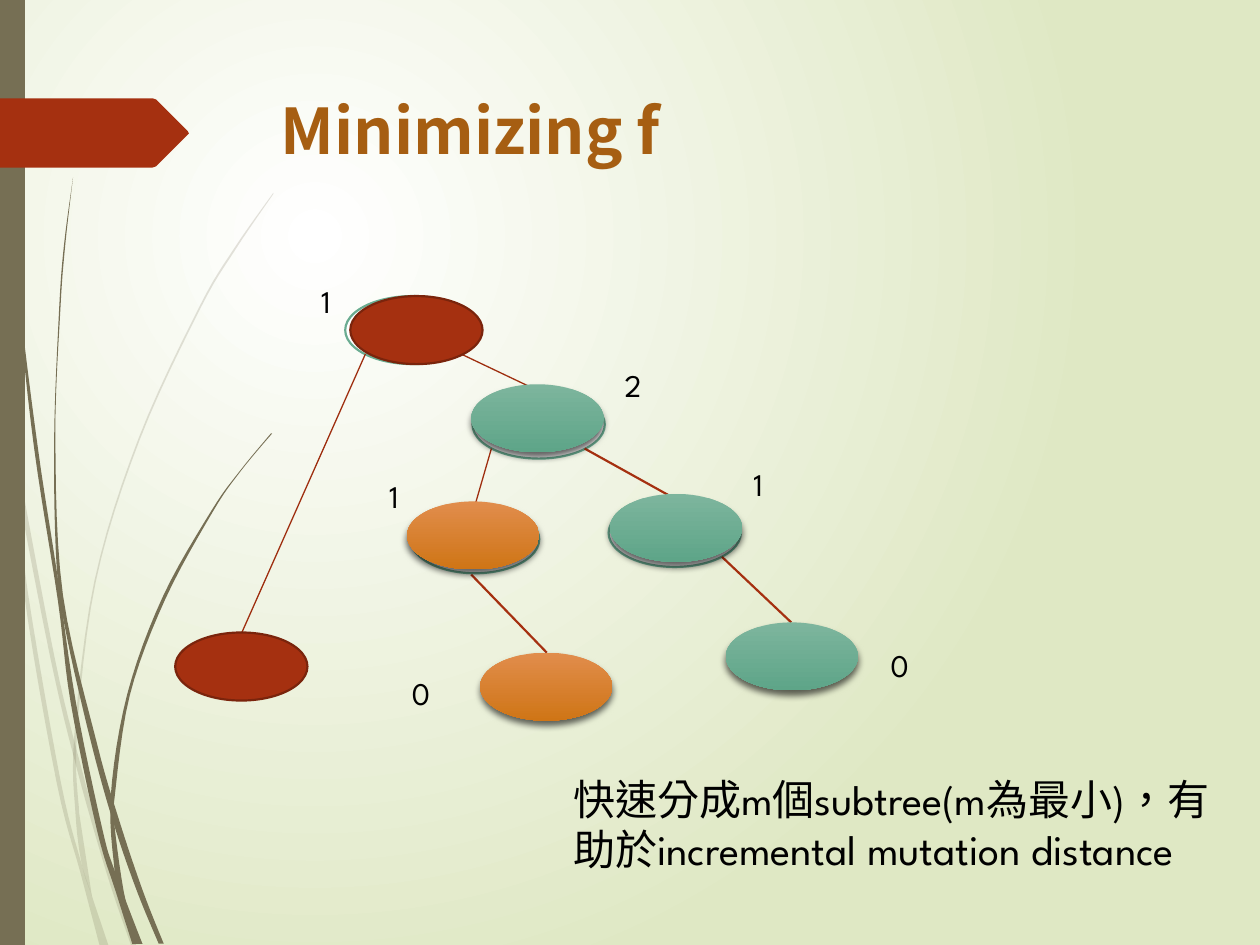
from dataclasses import dataclass
from typing import NamedTuple

from lxml import etree
from pptx import Presentation
from pptx import util as u
from pptx.dml.color import RGBColor
from pptx.enum import lang, shapes, text
from pptx.oxml import ns


class Point(NamedTuple):
    x: float
    y: float


@dataclass(frozen=True)
class Theme:
    heading_font: str = "Noto Sans CJK SC"
    body_font: str = "League Spartan"
    title_size: int = 36
    note_size: int = 24
    label_size: int = 18
    title: str = "A65E12"
    ink: str = "000000"
    paper: str = "FFFFFF"
    paper_edge: str = "DFE8C4"
    stem: str = "766F54"
    accent: str = "A53010"
    accent_edge: str = "7A240C"
    thin_link: str = "9E2E0F"
    ring: str = "6AAC91"
    orange: tuple = ("E18D4C", "CF7516")
    green: tuple = ("7DB59D", "5EA588")


@dataclass(frozen=True)
class Wisp:
    left: list
    right: list
    alpha: int = 100


@dataclass(frozen=True)
class Oval:
    at: Point
    fill: object
    edge: str = ""
    width: float = 1.05


@dataclass(frozen=True)
class Link:
    start: Point
    end: Point
    color: str
    weight: float


@dataclass(frozen=True)
class Label:
    text: str
    at: Point


T = Theme()

WISPS = [
    Wisp([(0, 2.82), (0.08, 3.5), (0.19, 4.7), (0.45, 6.21), (0.64, 6.93), (0.79, 7.5)],
         [(0.86, 7.5), (0.73, 7.11), (0.64, 6.83), (0.48, 6.19), (0.22, 4.69), (0.12, 3.76), (0, 2.99)], 20),
    Wisp([(0.1, 3.45), (0.12, 3.76), (0.4, 5.22), (0.61, 6.1), (0.85, 6.94), (1.04, 7.5)],
         [(1.08, 7.5), (0.88, 6.92), (0.64, 6.07), (0.43, 5.2), (0.1, 3.45)], 20),
    Wisp([(2.17, 1.53), (1.86, 1.97), (1.58, 2.44), (1.1, 3.48), (0.75, 4.61), (0.59, 5.84),
          (0.6, 6.46), (0.65, 6.86), (0.73, 7.11)],
         [(0.63, 6.46), (0.61, 5.84), (0.76, 4.62), (1.11, 3.49), (1.59, 2.45), (1.87, 1.98), (2.17, 1.54)], 20),
    Wisp([(0.02, 0), (0.05, 1.1), (0.14, 2.33), (0.27, 3.55), (0.46, 4.77), (0.56, 5.57),
          (0.77, 6.59), (0.92, 7.08), (1.05, 7.49)],
         [(1.13, 7.49), (0.91, 6.91), (0.81, 6.57), (0.6, 5.56), (0.45, 4.53), (0.3, 3.55),
          (0.15, 2.32), (0.06, 1.09), (0.03, 0)]),
    Wisp([(0.58, 1.41), (0.51, 1.93), (0.47, 2.45), (0.43, 3.49), (0.45, 4.49), (0.53, 5.05),
          (0.73, 5.92), (0.91, 6.56), (1.09, 7.08), (1.26, 7.49)],
         [(1.3, 7.49), (1.13, 7.06), (0.94, 6.49), (0.77, 5.9), (0.5, 4.72), (0.44, 3.49),
          (0.48, 2.45), (0.52, 1.93), (0.58, 1.41)]),
    Wisp([(2.15, 3.44), (1.91, 3.73), (1.68, 4.05), (1.29, 4.74), (1.01, 5.51), (0.88, 6.31),
          (0.91, 6.91), (0.97, 7.22), (1.08, 7.49)],
         [(1.13, 7.49), (1, 7.16), (0.91, 6.56), (0.91, 6.33), (1.03, 5.52), (1.31, 4.76),
          (1.69, 4.06), (1.91, 3.74), (2.16, 3.44)]),
]
BANNER = [(0, 0.78), (1.21, 0.78), (1.24, 0.79), (1.49, 1.04), (1.5, 1.06), (1.49, 1.07),
          (1.24, 1.32), (1.21, 1.33), (0, 1.33)]
RINGS = [
    Oval(Point(2.74, 2.35), T.paper, T.ring, 1.07),
    Oval(Point(3.75, 3.1), T.paper, T.ring),
    Oval(Point(3.26, 4.01), T.paper, T.ring, 1.02),
    Oval(Point(4.83, 3.96), T.paper, T.ring),
]
NODES = [
    Oval(Point(2.78, 2.35), T.accent, T.accent_edge),
    Oval(Point(1.39, 5.02), T.accent, T.accent_edge),
    Oval(Point(3.74, 3.05), T.green),
    Oval(Point(4.84, 3.92), T.green),
    Oval(Point(5.76, 4.94), T.green),
    Oval(Point(3.23, 3.98), T.orange),
    Oval(Point(3.81, 5.18), T.orange),
]
LINKS = [
    Link(Point(2.9, 2.81), Point(1.92, 5.02), T.thin_link, 0.75),
    Link(Point(3.66, 2.81), Point(4.27, 3.1), T.thin_link, 0.75),
    Link(Point(3.9, 3.56), Point(3.77, 4.01), T.thin_link, 0.75),
    Link(Point(4.64, 3.56), Point(5.36, 3.96), T.accent, 1.25),
    Link(Point(3.74, 4.56), Point(4.34, 5.18), T.accent, 1.25),
    Link(Point(5.73, 4.42), Point(6.28, 4.94), T.accent, 1.25),
]
LABELS = [
    Label("1", Point(2.45, 2.19)),
    Label("2", Point(4.86, 2.86)),
    Label("1", Point(2.99, 3.74)),
    Label("1", Point(5.88, 3.64)),
    Label("0", Point(3.17, 5.3)),
    Label("0", Point(6.97, 5.08)),
]


def rgb(color: str) -> RGBColor:
    return RGBColor.from_string(color)


def add_child(parent, tag: str, **attrs):
    return etree.SubElement(parent, ns.qn(tag), {k: str(v) for k, v in attrs.items()})


def set_fill(fill, color) -> None:
    if isinstance(color, tuple):
        fill.gradient()
        for position, (stop, shade) in enumerate(zip(fill.gradient_stops, color)):
            stop.color.rgb = rgb(shade)
            stop.position = position
    else:
        fill.solid()
        fill.fore_color.rgb = rgb(color)


def smooth(points: list, steps: int = 6) -> list:
    knots = [points[0], *points, points[-1]]
    curve = []
    for a, b, c, d in zip(knots, knots[1:], knots[2:], knots[3:]):
        for t in (i / steps for i in range(steps)):
            curve.append(tuple(
                (2 * q + (r - p) * t + (2 * p - 5 * q + 4 * r - s) * t ** 2
                 + (3 * q - p - 3 * r + s) * t ** 3) / 2
                for p, q, r, s in zip(a, b, c, d)))
    return [*curve, points[-1]]


def add_outline(slide, points: list, color: str, alpha: int = 100) -> None:
    corners = [(u.Inches(x), u.Inches(y)) for x, y in points]
    builder = slide.shapes.build_freeform(*corners[0])
    builder.add_line_segments(corners[1:], close=True)
    sp = builder.convert_to_shape()
    sp.shadow.inherit = False
    set_fill(sp.fill, color)
    sp.line.fill.background()
    if alpha < 100:
        add_child(sp.element.spPr.find(".//" + ns.qn("a:srgbClr")), "a:alpha", val=alpha * 1000)


def add_oval(slide, oval: Oval) -> None:
    sp = slide.shapes.add_shape(shapes.MSO_SHAPE.OVAL, u.Inches(oval.at.x), u.Inches(oval.at.y),
                                u.Inches(oval.width), u.Inches(0.54))
    sp.shadow.inherit = False
    set_fill(sp.fill, oval.fill)
    if oval.edge:
        sp.line.color.rgb = rgb(oval.edge)
        sp.line.width = u.Pt(1.25)
    else:
        sp.fill.gradient_angle = 270
        sp.line.fill.background()
        shadow = add_child(sp.element.spPr.find(ns.qn("a:effectLst")), "a:outerShdw", blurRad=u.Pt(4),
                           dist=u.Pt(3), dir=5400000, algn="ctr", rotWithShape=0)
        add_child(add_child(shadow, "a:srgbClr", val=T.ink), "a:alpha", val=60000)


def add_link(slide, link: Link) -> None:
    line = slide.shapes.add_connector(shapes.MSO_CONNECTOR.STRAIGHT,
                                      *(u.Inches(v) for v in (*link.start, *link.end)))
    line.line.color.rgb = rgb(link.color)
    line.line.width = u.Pt(link.weight)
    add_child(line._element.spPr, "a:effectLst")


def write(sp, words: str, font: str, size: int, color: str, bold: bool = False) -> None:
    tf = sp.text_frame
    tf.word_wrap = True
    tf.vertical_anchor = text.MSO_ANCHOR.TOP
    p = tf.paragraphs[0]
    p.text = words
    p.alignment = text.PP_ALIGN.LEFT
    p.font.name, p.font.size, p.font.bold = font, u.Pt(size), bold
    p.font.color.rgb = rgb(color)
    p.runs[0].font.language_id = lang.MSO_LANGUAGE_ID.TRADITIONAL_CHINESE


def add_text(slide, label: Label, size: int, width: float, height: float) -> None:
    sp = slide.shapes.add_textbox(*(u.Inches(v) for v in (*label.at, width, height)))
    write(sp, label.text, T.body_font, size, T.ink)
    sp.text_frame.auto_size = text.MSO_AUTO_SIZE.SHAPE_TO_FIT_TEXT


def paint_background(slide) -> None:
    set_fill(slide.background.fill, (T.paper, T.paper_edge))
    grad = slide.element.find(".//" + ns.qn("a:gradFill"))
    grad.remove(grad.find(ns.qn("a:lin")))
    glow = add_child(grad, "a:path", path="circle")
    add_child(glow, "a:fillToRect", l=50000, t=50000, r=100000, b=100000)


def main() -> None:
    """Build the slide about minimizing f over a tree of subtrees."""
    prs = Presentation()
    prs.slide_width, prs.slide_height = u.Inches(10), u.Inches(7.5)
    slide = prs.slides.add_slide(prs.slide_layouts[5])
    paint_background(slide)
    for wisp in WISPS:
        add_outline(slide, smooth(wisp.left) + smooth(wisp.right), T.stem, wisp.alpha)
    add_outline(slide, [(0, 0), (0.2, 0), (0.2, 7.5), (0, 7.5)], T.stem)
    add_outline(slide, BANNER, T.accent)
    title = slide.shapes.title
    title.left, title.top, title.width, title.height = (u.Inches(v) for v in (2.13, 0.68, 7.21, 1.4))
    write(title, "Minimizing f", T.heading_font, T.title_size, T.title, True)
    add_text(slide, Label("快速分成m個subtree(m為最小)，有助於incremental mutation distance",
                          Point(4.45, 6.09)), T.note_size, 5.55, 0.91)
    for ring in RINGS:
        add_oval(slide, ring)
    for link in LINKS:
        add_link(slide, link)
    for label in LABELS:
        add_text(slide, label, T.label_size, 0.92, 0.4)
    for node in NODES:
        add_oval(slide, node)
    prs.save("out.pptx")


if __name__ == "__main__":
    main()
